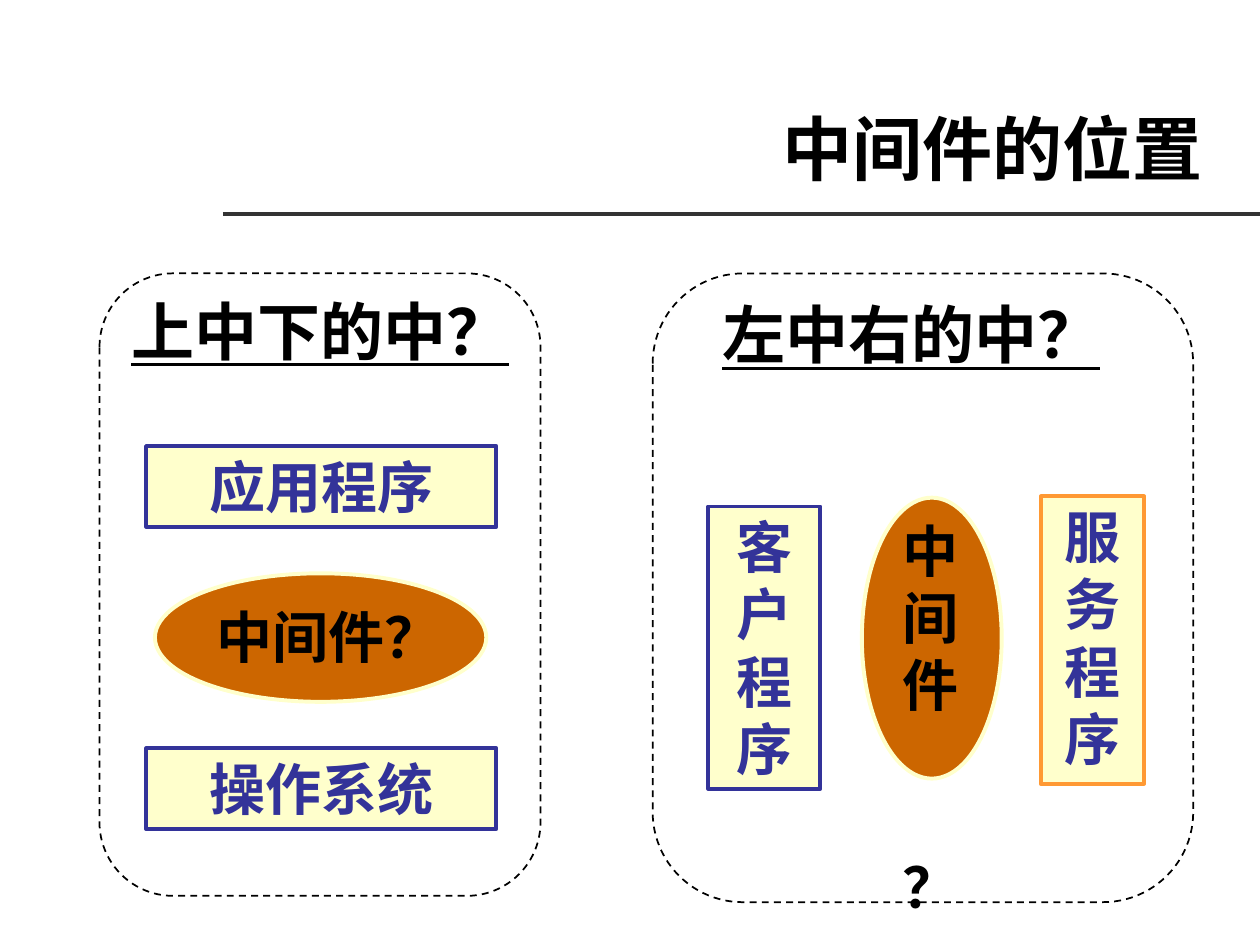
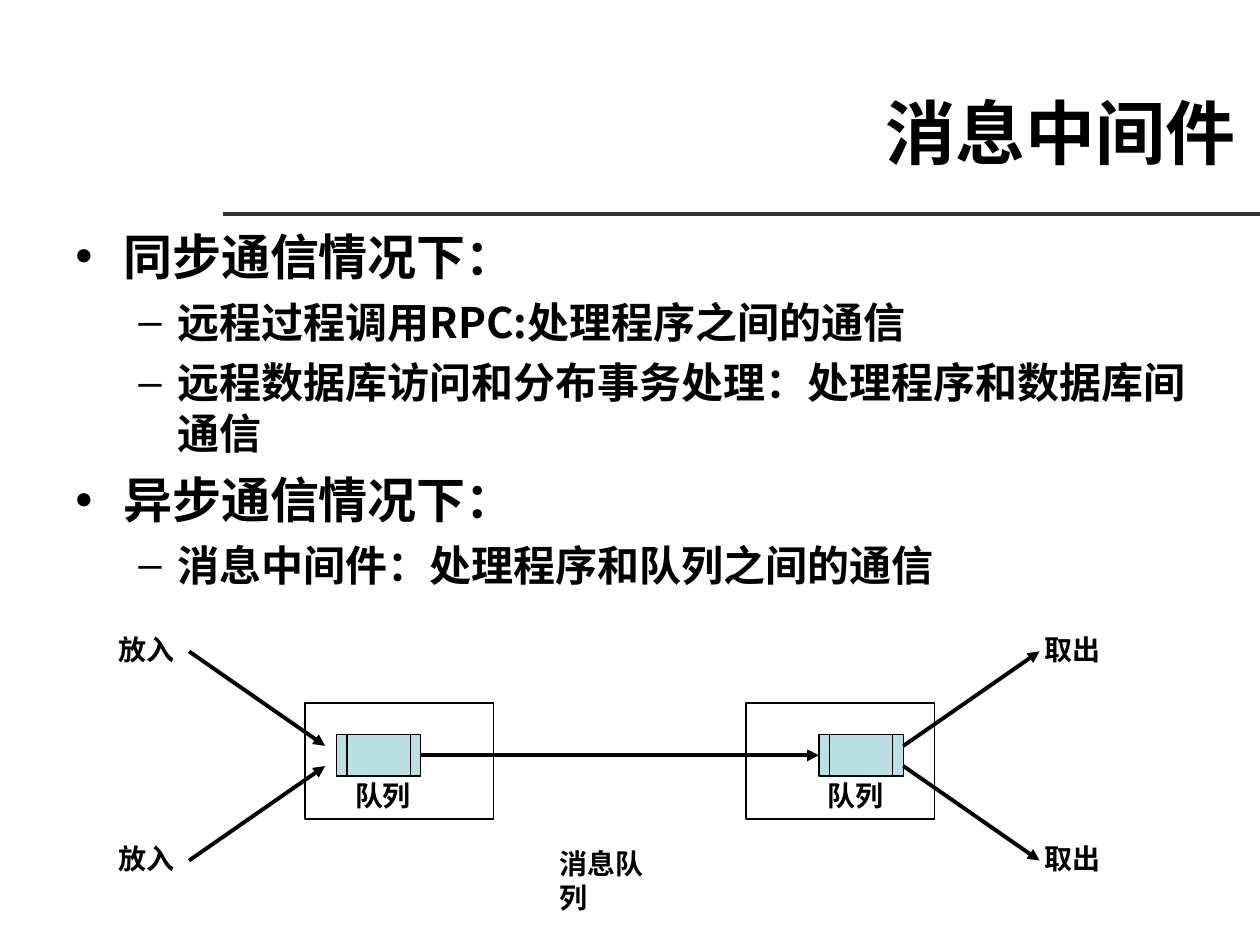
from dataclasses import dataclass

from lxml import etree
from pptx import Presentation
from pptx.dml.color import RGBColor
from pptx.enum.dml import MSO_LINE
from pptx.enum.shapes import MSO_CONNECTOR, MSO_SHAPE
from pptx.enum.text import MSO_ANCHOR, PP_ALIGN
from pptx.oxml.ns import qn
from pptx.util import Inches, Pt

RECTANGLE = MSO_SHAPE.RECTANGLE
ROUNDED = MSO_SHAPE.ROUNDED_RECTANGLE
OVAL = MSO_SHAPE.OVAL
PROCESS = MSO_SHAPE.FLOWCHART_PREDEFINED_PROCESS
STRAIGHT = MSO_CONNECTOR.STRAIGHT
DASH = MSO_LINE.DASH
LEFT, CENTER, RIGHT = PP_ALIGN.LEFT, PP_ALIGN.CENTER, PP_ALIGN.RIGHT
TOP, MIDDLE = MSO_ANCHOR.TOP, MSO_ANCHOR.MIDDLE


@dataclass(frozen=True)
class Theme:
    black: str = "000000"
    white: str = "FFFFFF"
    rule: str = "333333"
    navy: str = "333399"
    cream: str = "FFFFCC"
    orange: str = "FF9933"
    rust: str = "CC6600"
    teal: str = "BBE0E3"
    font: str = "Noto Sans CJK SC"
    label_font: str = "Arial"
    title_size: int = 40
    heading_size: int = 36
    block_size: int = 32
    bullet_size: int = 28
    sub_bullet_size: int = 24
    label_size: int = 16
    line_height: float = 1.2
    thin: float = 0.75
    dashed: float = 1
    thick: float = 2.25


THEME = Theme()


@dataclass(frozen=True)
class TextStyle:
    size: int
    color: str = THEME.black
    align: PP_ALIGN = CENTER
    anchor: MSO_ANCHOR = TOP
    font: str = THEME.font
    underline: bool = False


TITLE = TextStyle(THEME.title_size, align=RIGHT, anchor=MIDDLE)
HEADING = TextStyle(THEME.heading_size, underline=True)
BLOCK = TextStyle(THEME.block_size, THEME.navy)
MIDDLEWARE = TextStyle(THEME.block_size)
LABEL = TextStyle(THEME.label_size, align=LEFT, font=THEME.label_font)


@dataclass(frozen=True)
class Area:
    left: float
    top: float
    width: float
    height: float

    def lengths(self) -> tuple:
        return tuple(Inches(n) for n in (self.left, self.top, self.width, self.height))


@dataclass(frozen=True)
class Block:
    text: str
    area: Area
    line: str = THEME.navy


@dataclass(frozen=True)
class BulletLevel:
    mark: str
    size: int
    margin: float
    hanging: float
    space_before: float


LEVELS = (
    BulletLevel("•", THEME.bullet_size, 0.38, 0.38, 7),
    BulletLevel("–", THEME.sub_bullet_size, 0.81, 0.31, 6),
)


def format_paragraph(para, style: TextStyle) -> None:
    para.alignment = style.align
    para.line_spacing = Pt(style.size * THEME.line_height)
    for span in para.runs:
        font = span.font
        font.size = Pt(style.size)
        font.bold = True
        font.underline = style.underline
        font.color.rgb = RGBColor.from_string(style.color)
        font.name = style.font
        east_asian = etree.SubElement(font._element, qn("a:ea"))
        east_asian.set("typeface", THEME.font)


def write_text(box, text: str, style: TextStyle, wrap: bool = True) -> None:
    frame = box.text_frame
    frame.word_wrap = wrap
    frame.vertical_anchor = style.anchor
    frame.text = text
    format_paragraph(frame.paragraphs[0], style)


def add_text(page, text: str, area: Area, style: TextStyle, wrap: bool = True) -> None:
    write_text(page.shapes.add_textbox(*area.lengths()), text, style, wrap)


def add_box(page, kind, area: Area, fill: str | None, line: str, width: float):
    box = page.shapes.add_shape(kind, *area.lengths())
    box.shadow.inherit = False
    if fill:
        box.fill.solid()
        box.fill.fore_color.rgb = RGBColor.from_string(fill)
    else:
        box.fill.background()
    box.line.color.rgb = RGBColor.from_string(line)
    box.line.width = Pt(width)
    return box


def add_line(page, start: tuple, end: tuple, color: str = THEME.black, arrow: bool = True):
    points = [Inches(n) for n in (*start, *end)]
    line = page.shapes.add_connector(STRAIGHT, *points)
    line.line.color.rgb = RGBColor.from_string(color)
    line.line.width = Pt(THEME.thick)
    if arrow:
        etree.SubElement(line.line._get_or_add_ln(), qn("a:tailEnd")).set("type", "triangle")
    etree.SubElement(line._element.spPr, qn("a:effectLst"))
    return line


def add_page(deck, title: str, title_area: Area):
    page = deck.slides.add_slide(deck.slide_layouts[6])
    add_line(page, (1.77, 1.7), (10, 1.7), THEME.rule, arrow=False)
    add_text(page, title, title_area, TITLE)
    return page


def add_bullets(page, area: Area, items: list[tuple[int, str]]) -> None:
    frame = page.shapes.add_textbox(*area.lengths()).text_frame
    frame.word_wrap = True
    for index, (depth, text) in enumerate(items):
        level = LEVELS[depth]
        para = frame.paragraphs[0] if index == 0 else frame.add_paragraph()
        para.text = text
        para.level = depth
        if index:
            para.space_before = Pt(level.space_before)
        format_paragraph(para, TextStyle(level.size, align=LEFT))
        properties = para._p.get_or_add_pPr()
        properties.set("marL", str(Inches(level.margin)))
        properties.set("indent", str(-Inches(level.hanging)))
        etree.SubElement(properties, qn("a:buFont")).set("typeface", THEME.label_font)
        etree.SubElement(properties, qn("a:buChar")).set("char", level.mark)


def build_position_page(deck) -> None:
    page = add_page(deck, "中间件的位置", Area(0.44, 0.76, 9.2, 0.82))

    for frame in (Area(0.79, 2.17, 3.5, 4.94), Area(5.18, 2.17, 4.29, 4.99)):
        box = add_box(page, ROUNDED, frame, None, THEME.black, THEME.dashed)
        box.line.dash_style = DASH
    add_text(page, "上中下的中？", Area(0.88, 2.27, 3.32, 0.7), HEADING)
    add_text(page, "左中右的中？", Area(5.57, 2.3, 3.32, 0.7), HEADING)

    blocks = (
        Block("应用程序", Area(1.16, 3.54, 2.78, 0.64)),
        Block("操作系统", Area(1.16, 5.94, 2.78, 0.64)),
        Block("客户程序", Area(5.62, 4.02, 0.89, 2.24)),
        Block("服务程序", Area(8.26, 3.94, 0.82, 2.28), THEME.orange),
    )
    for block in blocks:
        box = add_box(page, RECTANGLE, block.area, THEME.cream, block.line, THEME.thick)
        write_text(box, block.text, BLOCK)

    for oval in (Area(1.23, 4.55, 2.63, 1.02), Area(6.84, 3.95, 1.11, 2.23)):
        add_box(page, OVAL, oval, THEME.rust, THEME.cream, THEME.thick)
    add_text(page, "中间件？", Area(1.41, 4.73, 2.4, 0.64), MIDDLEWARE)
    add_text(page, "中间件", Area(7.01, 4.05, 0.75, 1.7), MIDDLEWARE)
    add_text(page, "？", Area(7.01, 6.72, 0.75, 0.64), MIDDLEWARE)


def add_queue(page, host_left: float, queue_left: float, label_left: float):
    """Draw a host with a queue inside it and return the queue."""
    add_box(page, RECTANGLE, Area(host_left, 5.58, 1.5, 0.92),
            THEME.white, THEME.black, THEME.thin)
    add_text(page, "队列", Area(label_left, 6.13, 0.64, 0.37), LABEL, wrap=False)
    return add_box(page, PROCESS, Area(queue_left, 5.83, 0.67, 0.33),
                   THEME.teal, THEME.black, THEME.thin)


def build_message_page(deck) -> None:
    page = add_page(deck, "消息中间件", Area(1.77, 0.38, 8.13, 1.32))
    add_bullets(page, Area(0.5, 1.75, 9.23, 3.08), [
        (0, "同步通信情况下："),
        (1, "远程过程调用RPC:处理程序之间的通信"),
        (1, "远程数据库访问和分布事务处理：处理程序和数据库间通信"),
        (0, "异步通信情况下："),
        (1, "消息中间件：处理程序和队列之间的通信"),
    ])

    sender = add_queue(page, 2.42, 2.67, 2.72)
    receiver = add_queue(page, 5.92, 6.5, 6.47)
    link = add_line(page, (3.33, 6), (6.5, 6))
    link.begin_connect(sender, 3)
    link.end_connect(receiver, 1)

    for outer_y, inner_y, label_top in ((5.17, 5.92, 4.97), (6.83, 6.08, 6.63)):
        add_line(page, (1.5, outer_y), (2.58, inner_y))
        add_line(page, (7.17, inner_y), (8.25, outer_y))
        add_text(page, "放入", Area(0.84, label_top, 0.64, 0.37), LABEL, wrap=False)
        add_text(page, "取出", Area(8.19, label_top, 0.64, 0.37), LABEL, wrap=False)
    add_text(page, "消息队列", Area(4.34, 6.67, 1.08, 0.37), LABEL, wrap=False)


def main() -> None:
    deck = Presentation()
    deck.slide_width = Inches(10)
    deck.slide_height = Inches(7.5)
    build_position_page(deck)
    build_message_page(deck)
    deck.save("out.pptx")


if __name__ == "__main__":
    main()
